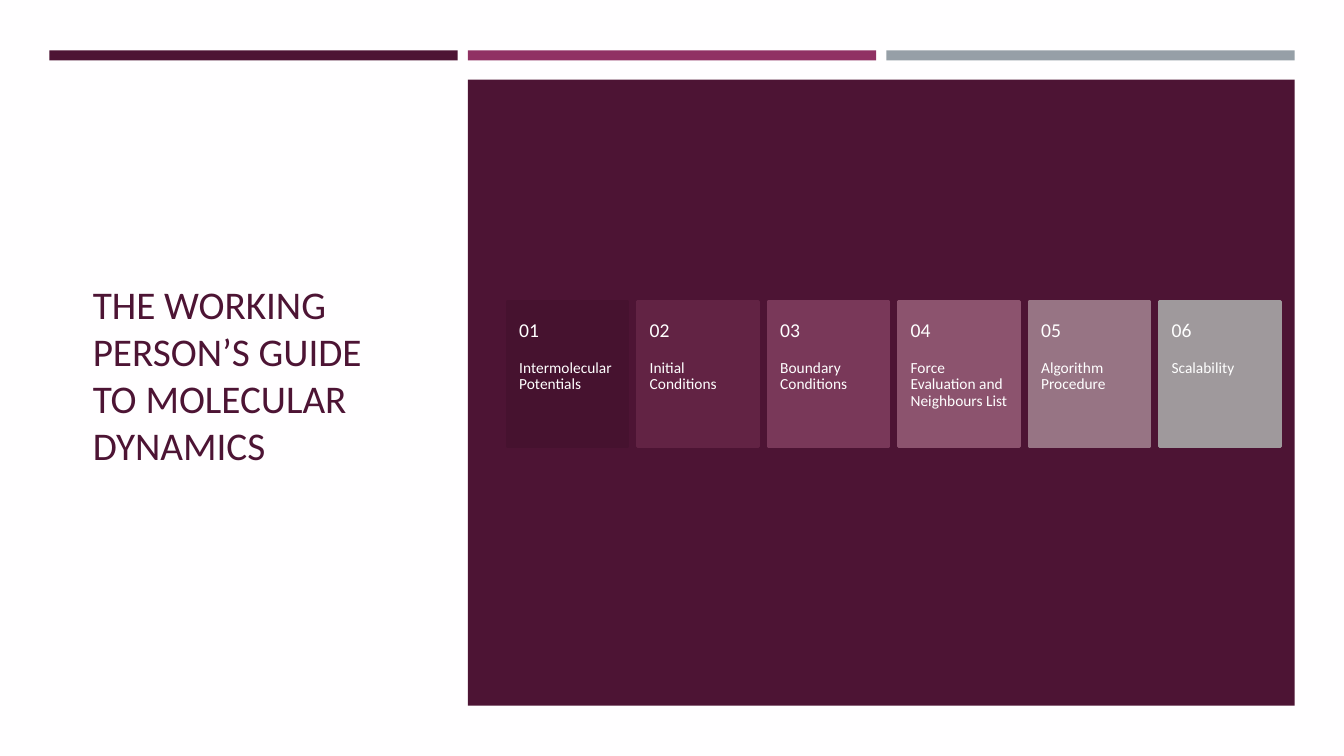
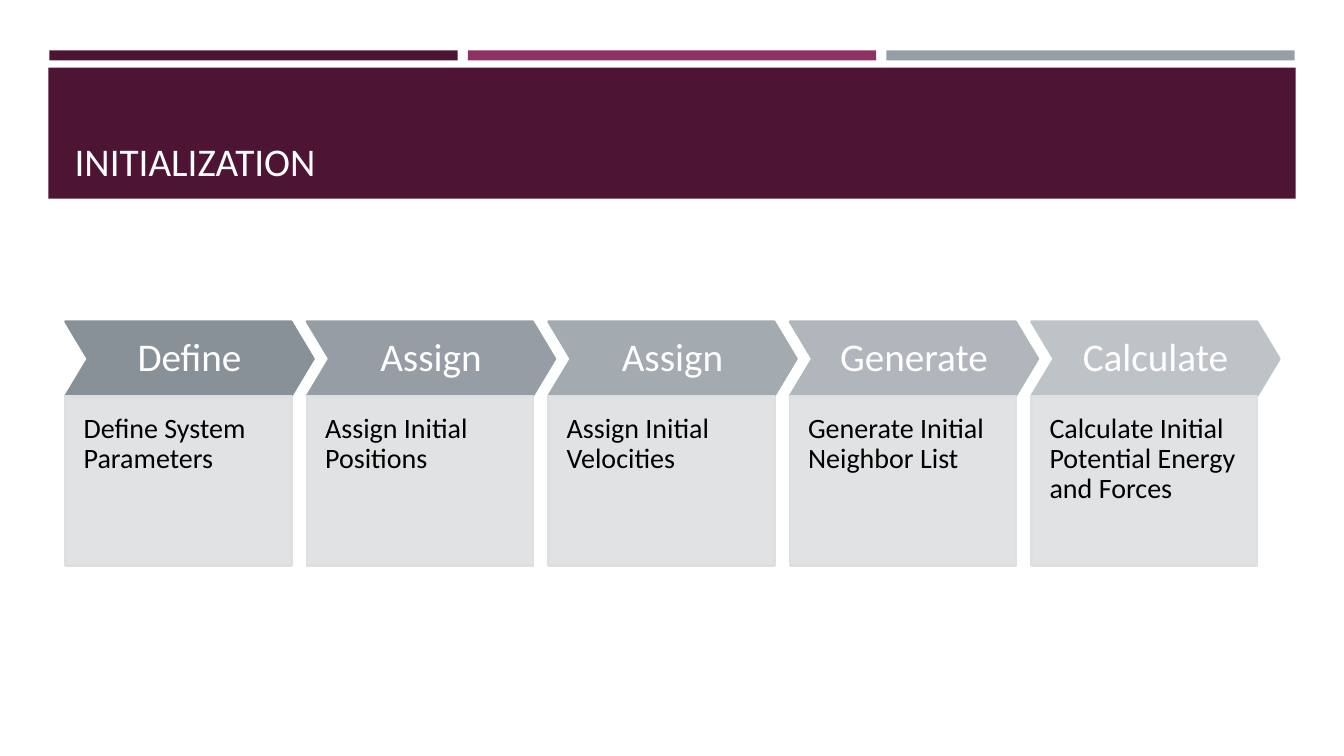
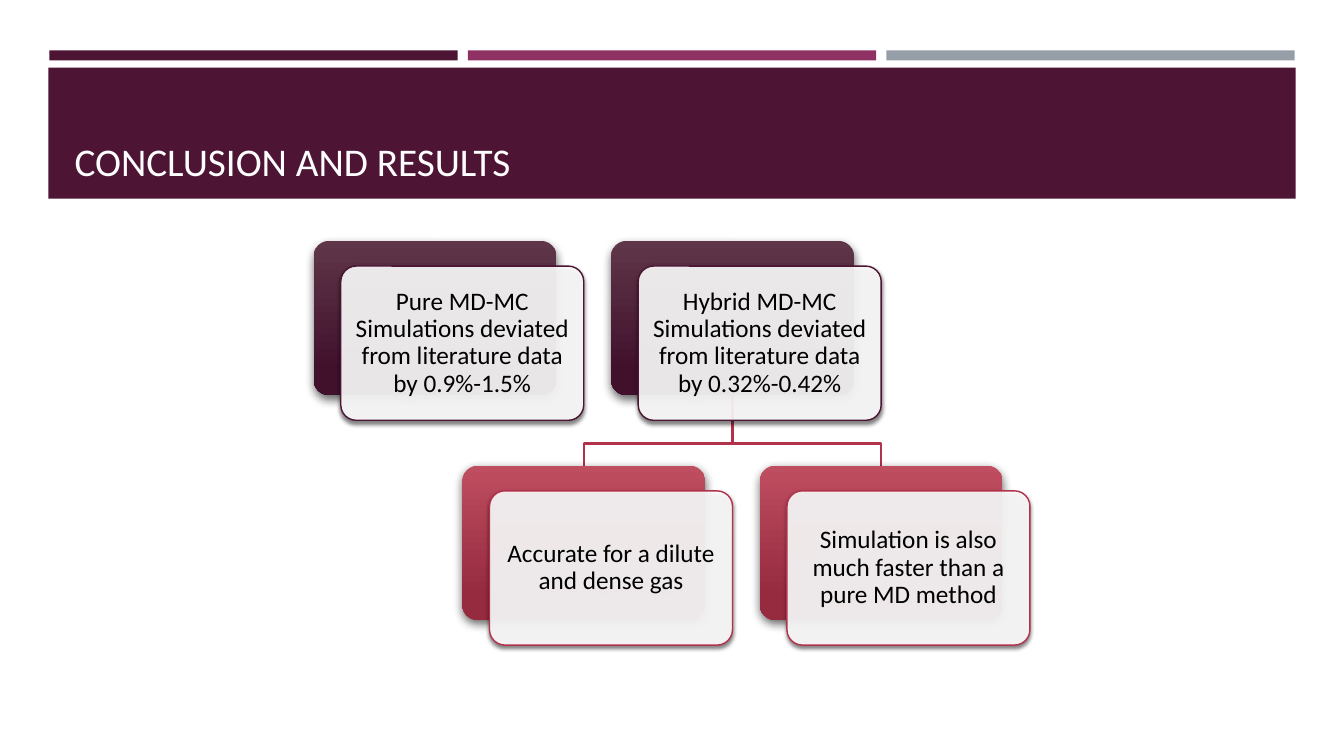
"""Builds three slides on molecular dynamics: guide, initialization and conclusion."""
from lxml import etree
from pptx import Presentation
from pptx.dml.color import RGBColor
from pptx.enum.shapes import MSO_SHAPE as Shape
from pptx.enum.text import MSO_ANCHOR as Anchor, MSO_AUTO_SIZE as AutoSize, PP_ALIGN as Align
from pptx.oxml.ns import qn
from pptx.util import Inches, Pt

PLUM = RGBColor(0x4D, 0x14, 0x34)
MAGENTA = RGBColor(0x90, 0x31, 0x63)
GRAY = RGBColor(0x96, 0x9F, 0xA7)
PALE_GRAY = RGBColor(0xDD, 0xDF, 0xE1)
CRIMSON = RGBColor(0xB2, 0x32, 0x4B)
PAPER = RGBColor(0xFF, 0xFE, 0xFF)
WHITE = RGBColor(0xFF, 0xFF, 0xFF)
BLACK = RGBColor(0x00, 0x00, 0x00)
PLUM_FADE = (RGBColor(0x5F, 0x36, 0x49), RGBColor(0x41, 0x11, 0x2C))
CRIMSON_FADE = (RGBColor(0xBF, 0x4E, 0x61), RGBColor(0x96, 0x2A, 0x3F))


def write(shape, text, size=28, color=WHITE, align=Align.LEFT, anchor=Anchor.MIDDLE,
          insets=(0.1, 0.05, 0.1, 0.05), spacing=0.9):
    frame = shape.text_frame
    frame.word_wrap = True
    frame.auto_size = AutoSize.NONE
    frame.vertical_anchor = anchor
    frame.margin_left, frame.margin_top, frame.margin_right, frame.margin_bottom = map(Inches, insets)
    paragraph = frame.paragraphs[0]
    paragraph.text = text
    paragraph.alignment = align
    paragraph.line_spacing = spacing
    font = paragraph.runs[0].font
    font.name, font.size, font.color.rgb = "Calibri", Pt(size), color


def add_box(slide, kind, box, fill, line=None, width=1.75, opacity=100, shadow=None):
    shape = slide.shapes.add_shape(kind, *map(Inches, box))
    shape.shadow.inherit = False
    properties = shape.element.spPr
    if isinstance(fill, RGBColor):
        shape.fill.solid()
        shape.fill.fore_color.rgb = fill
    else:
        shape.fill.gradient()
        shape.fill.gradient_angle = 270
        for stop, color, position in zip(shape.fill.gradient_stops, fill, (0, 0.84)):
            stop.color.rgb, stop.position = color, position
    if opacity < 100:
        color = properties.find(qn("a:solidFill")).find(qn("a:srgbClr"))
        etree.SubElement(color, qn("a:alpha"), val=str(opacity * 1000))
    if line is None:
        shape.line.fill.background()
    else:
        shape.line.color.rgb, shape.line.width = line, Pt(width)
    if shadow:
        strength, blur, distance, angle = shadow
        outer = etree.SubElement(properties.find(qn("a:effectLst")), qn("a:outerShdw"),
                                 blurRad=str(Pt(blur)), dist=str(Pt(distance)),
                                 dir=str(angle * 60000), algn="ctr", rotWithShape="0")
        color = etree.SubElement(outer, qn("a:srgbClr"), val="000000")
        etree.SubElement(color, qn("a:alpha"), val=str(strength * 1000))
    return shape


presentation = Presentation()
presentation.slide_width, presentation.slide_height = Inches(13.33), Inches(7.5)
title_layout, band_layout = presentation.slide_layouts[0], presentation.slide_layouts[5]

guide = presentation.slides.add_slide(title_layout)
subtitle = guide.placeholders[1].element
subtitle.getparent().remove(subtitle)

master_parts = [(presentation.slide_master, (0.49 + 4.15 * index, 0.5, 4.05, 0.1), color)
                for index, color in enumerate((PLUM, MAGENTA, GRAY))]
master_parts.append((band_layout, (0.48, 0.67, 12.37, 1.3), PLUM))
for number, (owner, box, color) in enumerate(master_parts, 20):
    band = add_box(guide, Shape.RECTANGLE, box, color)
    band.element.nvSpPr.cNvPr.set("id", str(number))
    owner.shapes.element.insert(2, band.element)

initialization = presentation.slides.add_slide(band_layout)
conclusion = presentation.slides.add_slide(band_layout)
TITLE_BOX = (0.64, 0.77, 12.06, 1.11)
titles = [
    (guide, "THE WORKING PERSON’S GUIDE TO MOLECULAR DYNAMICS", (0.82, 1.14, 3.34, 5.15), PLUM, Anchor.MIDDLE),
    (initialization, "INITIALIZATION", TITLE_BOX, PAPER, Anchor.BOTTOM),
    (conclusion, "CONCLUSION AND RESULTS", TITLE_BOX, PAPER, Anchor.BOTTOM),
]
for slide, text, box, color, anchor in titles:
    title = slide.shapes.title
    title.left, title.top, title.width, title.height = map(Inches, box)
    write(title, text, color=color, anchor=anchor, spacing=1.0)

guide.background.fill.solid()
guide.background.fill.fore_color.rgb = PAPER
add_box(guide, Shape.RECTANGLE, (4.64, 0.79, 8.2, 6.21), PLUM)
topics = [
    ("Intermolecular Potentials", RGBColor(0x46, 0x12, 0x2F)),
    ("Initial Conditions", RGBColor(0x62, 0x23, 0x44)),
    ("Boundary Conditions", RGBColor(0x79, 0x38, 0x59)),
    ("Force Evaluation and Neighbours List", RGBColor(0x8C, 0x53, 0x6E)),
    ("Algorithm Procedure", RGBColor(0x97, 0x74, 0x84)),
    ("Scalability", RGBColor(0x9F, 0x99, 0x9C)),
]
for index, (topic, color) in enumerate(topics):
    left = 5.03 + index * 6.47 / 5
    card = add_box(guide, Shape.RECTANGLE, (left, 2.99, 1.2, 1.44), color, color)
    write(card, topic, size=11, anchor=Anchor.TOP, insets=(0.12, 0.58, 0.12, 0.36))
    number_box = guide.shapes.add_textbox(*map(Inches, (left, 2.99, 1.2, 0.58)))
    write(number_box, f"{index + 1:02}", size=14, insets=(0.12, 0.18, 0.12, 0.18))

steps = [
    ("Define", "Define System Parameters", RGBColor(0x88, 0x90, 0x98)),
    ("Assign", "Assign Initial Positions", RGBColor(0x96, 0x9D, 0xA4)),
    ("Assign", "Assign Initial Velocities", RGBColor(0xA3, 0xAA, 0xB0)),
    ("Generate", "Generate Initial Neighbor List", RGBColor(0xB1, 0xB6, 0xBC)),
    ("Calculate", "Calculate Initial Potential Energy and Forces", RGBColor(0xBE, 0xC3, 0xC8)),
]
for index, (verb, detail, color) in enumerate(steps):
    left = 0.65 + index * 9.58 / 4
    chevron = add_box(initialization, Shape.CHEVRON, (left, 3.19, 2.46, 0.74), color, color)
    chevron.adjustments[0] = 0.3
    write(chevron, verb, align=Align.CENTER, insets=(0.09,) * 4)
    panel = add_box(initialization, Shape.RECTANGLE, (left, 3.93, 2.24, 1.68), PALE_GRAY, PALE_GRAY, opacity=90)
    write(panel, detail, size=20, color=BLACK, anchor=Anchor.TOP, insets=(0.18, 0.18, 0.18, 0.35))

NODE_LEFT, NODE_TOP, NODE_WIDTH, NODE_HEIGHT = 3.11, 2.39, 2.41, 1.53
COLUMN_PITCH, ROW_PITCH = 2.95, 2.23
trunk = NODE_LEFT + COLUMN_PITCH + NODE_WIDTH / 2
for side in (1, -1):
    end = trunk + side * COLUMN_PITCH / 2
    builder = conclusion.shapes.build_freeform(Inches(trunk), Inches(NODE_TOP + NODE_HEIGHT))
    corners = [(trunk, 4.4), (end, 4.4), (end, NODE_TOP + ROW_PITCH)]
    builder.add_line_segments([(Inches(x), Inches(y)) for x, y in corners], close=False)
    branch = builder.convert_to_shape()
    branch.shadow.inherit = False
    branch.fill.background()
    branch.line.color.rgb, branch.line.width = CRIMSON, Pt(1.75)

findings = [
    (0, 0, "Pure MD-MC Simulations deviated from literature data by 0.9%-1.5%", PLUM_FADE, PLUM),
    (1, 0, "Hybrid MD-MC Simulations deviated from literature data by 0.32%-0.42%", PLUM_FADE, PLUM),
    (0.5, 1, "Accurate for a dilute and dense gas", CRIMSON_FADE, CRIMSON),
    (1.5, 1, "Simulation is also much faster than a pure MD method", CRIMSON_FADE, CRIMSON),
]
for column, row, text, fade, color in findings:
    left, top = NODE_LEFT + column * COLUMN_PITCH, NODE_TOP + row * ROW_PITCH
    back = add_box(conclusion, Shape.ROUNDED_RECTANGLE, (left, top, NODE_WIDTH, NODE_HEIGHT), fade,
                   shadow=(60, 7, 3, 84))
    front = add_box(conclusion, Shape.ROUNDED_RECTANGLE, (left + 0.27, top + 0.25, NODE_WIDTH, NODE_HEIGHT),
                    WHITE, color, width=1, opacity=90, shadow=(55, 3, 2, 90))
    back.adjustments[0] = front.adjustments[0] = 0.1
    write(front, text, size=18, color=BLACK, align=Align.CENTER, insets=(0.07,) * 4)

presentation.save("out.pptx")
